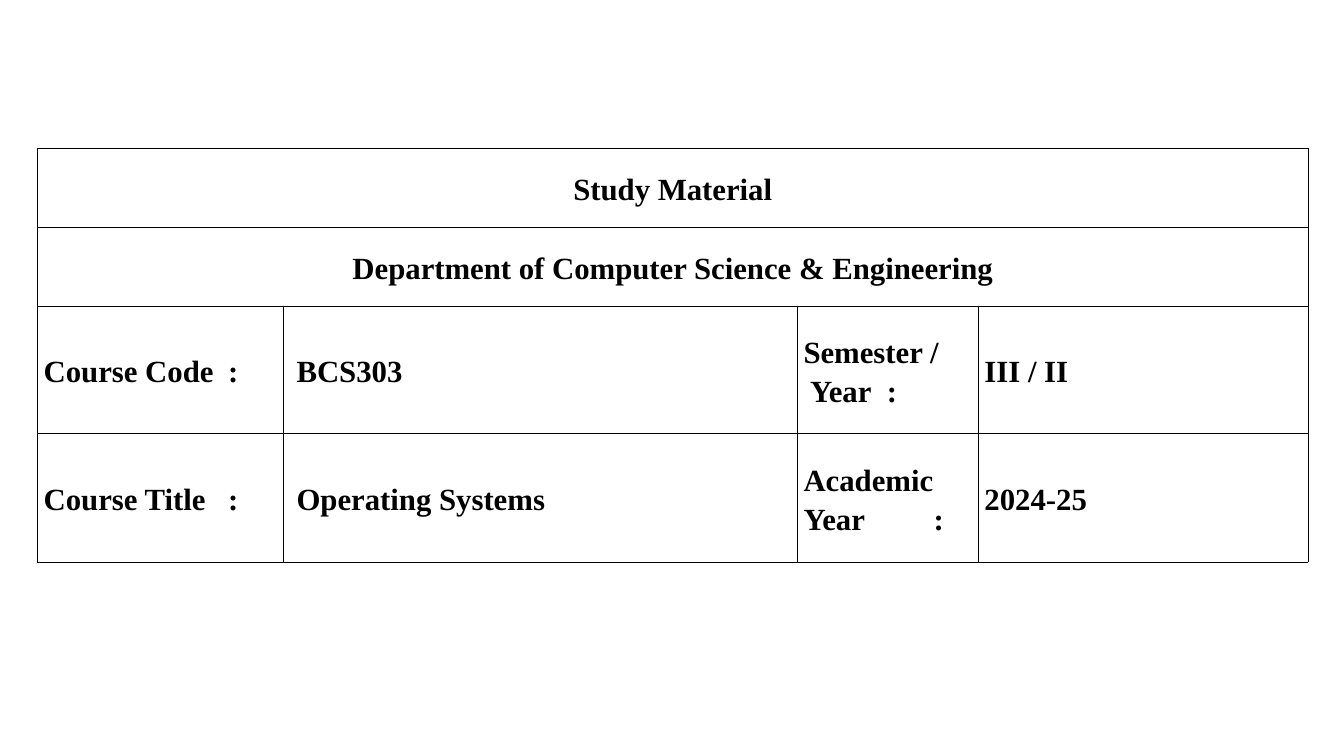
from lxml import etree
from pptx import Presentation
from pptx.dml import color as dml
from pptx.enum import text as enum
from pptx.oxml import ns
from pptx.util import Cm, Pt

INK, PAPER = "000000", "FFFFFF"
CENTER, LEFT = enum.PP_ALIGN.CENTER, enum.PP_ALIGN.LEFT


def paint(code):
    """Turn a hex string into a colour."""
    return dml.RGBColor.from_string(code)


def add(parent, tag, **attrs):
    """Append a drawing element and return it."""
    pairs = {key: str(val) for key, val in attrs.items()}
    return etree.SubElement(parent, ns.qn(tag), pairs)


def write(frame, words, font="Times New Roman", size=22, color=INK,
          bold=True, align=LEFT, space=1.15, tab=None):
    """Fill a text frame, one paragraph per line; tab is a stop in cm."""
    frame.word_wrap = True
    for i, line in enumerate(words.split("\n")):
        para = frame.add_paragraph() if i else frame.paragraphs[0]
        para.alignment, para.line_spacing = align, space
        if tab:
            stops = add(para._p.get_or_add_pPr(), "a:tabLst")
            add(stops, "a:tab", pos=int(Cm(tab)), algn="l")
        run = para.add_run()
        run.text = line
        run.font.name, run.font.size, run.font.bold = font, Pt(size), bold
        run.font.color.rgb = paint(color)


class Deck:
    """Holds the table style and the current slide."""

    line = 0.45
    side, edge = 0.15, 0.13

    def __init__(self, wide, high):
        """Open a deck of the given size in cm with one blank slide."""
        self.file = Presentation()
        self.file.slide_width, self.file.slide_height = Cm(wide), Cm(high)
        self.slide = self.file.slides.add_slide(self.file.slide_layouts[6])

    def frame(self, cell):
        """Give a cell its borders, fill, insets and anchor."""
        props = cell._tc.get_or_add_tcPr()
        for side in "LRTB":
            ln = add(props, "a:ln" + side, w=int(Pt(self.line)))
            add(add(ln, "a:solidFill"), "a:srgbClr", val=INK)
        cell.fill.solid()
        cell.fill.fore_color.rgb = paint(PAPER)
        cell.margin_left = cell.margin_right = Cm(self.side)
        cell.margin_top = cell.margin_bottom = Cm(self.edge)
        cell.vertical_anchor = enum.MSO_ANCHOR.MIDDLE

    def grid(self, left, top, cols, rows):
        """Add a plain ruled table with sizes in cm."""
        table = self.slide.shapes.add_table(
            len(rows), len(cols), Cm(left), Cm(top),
            Cm(sum(cols)), Cm(sum(rows))).table
        table.first_row = table.horz_banding = False
        for col, wide in zip(table.columns, cols):
            col.width = Cm(wide)
        for row, high in zip(table.rows, rows):
            row.height = Cm(high)
        for cell in table.iter_cells():
            self.frame(cell)
        return table


deck = Deck(33.87, 19.05)
course = deck.grid(0.95, 3.74, [6.18, 12.97, 4.56, 8.3],
                   [1.98, 1.99, 3.22, 3.23])

titles = ["Study Material", "Department of Computer Science & Engineering"]
for r, title in enumerate(titles):
    course.cell(r, 0).merge(course.cell(r, 3))
    write(course.cell(r, 0).text_frame, title, align=CENTER)

# Each entry is its wording and the tab stop of its colon.
facts = [
    [("Course Code\t:", 4.65), ("\u00a0BCS303", None),
     ("Semester /\n Year\t:", 2.1), ("III / II", None)],
    [("Course Title\t:", 4.65), ("\u00a0Operating Systems", None),
     ("Academic Year\t:", 3.28), ("2024-25", None)],
]
for r, row in enumerate(facts, len(titles)):
    for c, (words, stop) in enumerate(row):
        write(course.cell(r, c).text_frame, words, tab=stop)

deck.file.save("out.pptx")
